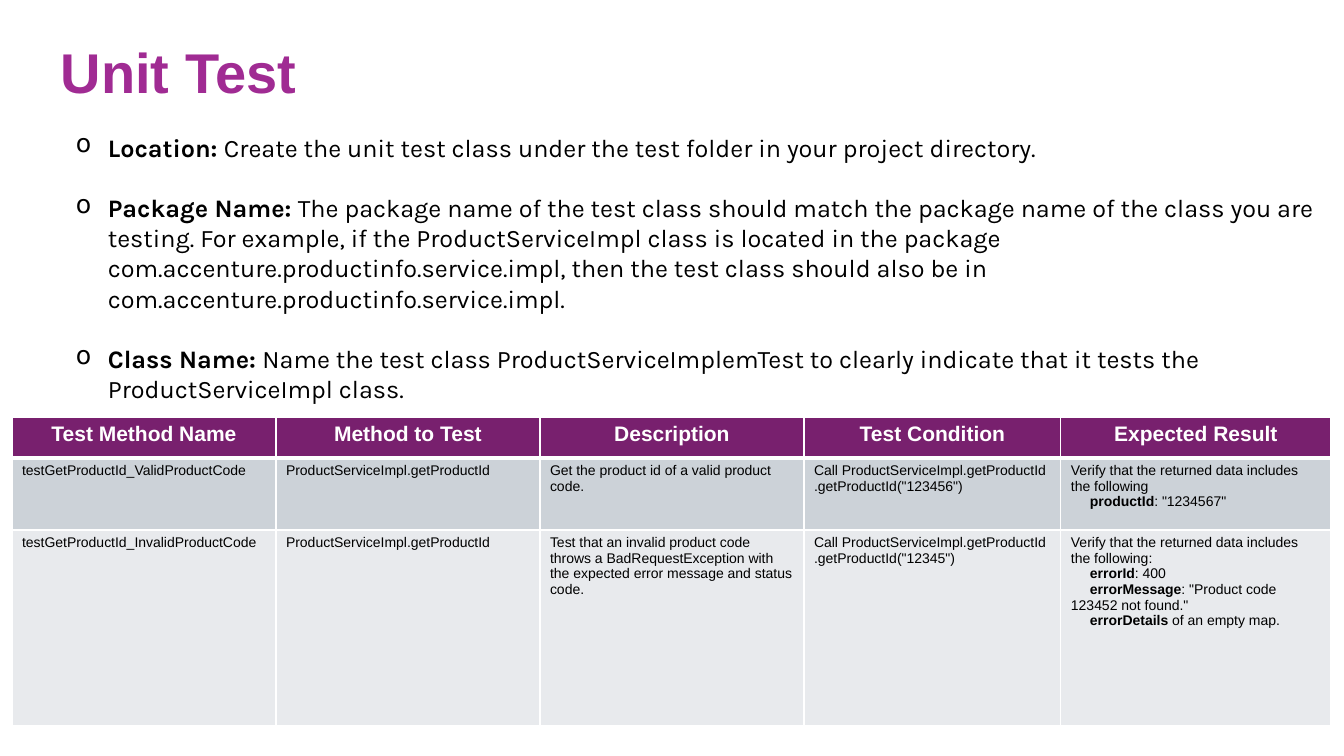
"""Build the Unit Test slide: title, naming rules and a table of test cases."""
from lxml import etree
from pptx import Presentation
from pptx import util as u
from pptx.dml.color import RGBColor
from pptx.enum import text
from pptx.oxml import ns

EMU_PER_PX = 914400 / 100.8

MAGENTA = RGBColor(0xA0, 0x2B, 0x93)
PURPLE = RGBColor(0x78, 0x20, 0x6E)
GREY = RGBColor(0xCC, 0xD2, 0xD8)
PALE = RGBColor(0xE8, 0xEA, 0xED)
WHITE = RGBColor(0xFF, 0xFF, 0xFF)
BLACK = RGBColor(0, 0, 0)

RULES = [
    ("Location: ", "Create the unit test class under the test folder in your project directory."),
    ("Package Name: ", "The package name of the test class should match the package name of the "
     "class you are testing. For example, if the ProductServiceImpl class is located in the package "
     "com.accenture.productinfo.service.impl, then the test class should also be in "
     "com.accenture.productinfo.service.impl."),
    ("Class Name: ", "Name the test class ProductServiceImplemTest to clearly indicate that it "
     "tests the ProductServiceImpl class."),
]
HEADINGS = ["Test Method Name", "Method to Test", "Description", "Test Condition", "Expected Result"]
METHOD = "ProductServiceImpl.getProductId"
CASES = [
    ["testGetProductId_ValidProductCode", METHOD, "Get the product id of a valid product code.",
     ["Call " + METHOD, '.getProductId("123456")'],
     ["Verify that the returned data includes the following", ("productId", ': "1234567"')]],
    ["testGetProductId_InvalidProductCode", METHOD,
     "Test that an invalid product code throws a BadRequestException with the expected error "
     "message and status code.",
     ["Call " + METHOD, '.getProductId("12345")'],
     ["Verify that the returned data includes the following:", ("errorId", ": 400"),
      ("errorMessage", ': "Product code 123452 not found."'),
      ("errorDetails ", "of an empty map.")]],
]
COLUMN_WIDTHS = [264, 264, 264, 257, 270]
ROW_HEIGHTS = [41, 72, 196]
ROW_FILLS = [PURPLE, GREY, PALE]


def px(length):
    """Turn pixels into EMU."""
    return u.Emu(round(length * EMU_PER_PX))


def add_span(para, words, size, color, font="Arial", bold=False):
    """Add one run with its font."""
    span = para.add_run()
    span.text = words
    span.font.name = font
    span.font.size = u.Pt(size)
    span.font.bold = bold
    span.font.color.rgb = color


def add_box(page, left, top, width, height):
    """Add a wrapping text box and return its text frame."""
    frame = page.shapes.add_textbox(px(left), px(top), px(width), px(height)).text_frame
    frame.word_wrap = True
    return frame


def next_para(frame, index):
    """Return the first paragraph or append another."""
    return frame.add_paragraph() if index else frame.paragraphs[0]


def set_indent(para, margin, first):
    """Set the left margin and the first-line indent."""
    properties = para._p.get_or_add_pPr()
    properties.set("marL", str(px(margin)))
    properties.set("indent", str(px(first)))
    return properties


def add_title(page):
    """Add the slide title."""
    frame = add_box(page, 51, 36, 1177, 75)
    frame.vertical_anchor = text.MSO_ANCHOR.BOTTOM
    para = frame.paragraphs[0]
    para.line_spacing = 0.9
    add_span(para, "Unit Test", 40, MAGENTA, bold=True)


def add_rules(page):
    """Add the bulleted naming rules."""
    frame = add_box(page, 66, 127, 1265, 285)
    for index, (label, rule) in enumerate(RULES):
        para = next_para(frame, index)
        properties = set_indent(para, 32, -32)
        etree.SubElement(properties, ns.qn("a:buChar")).set("char", "o")
        if index:
            para.space_before = u.Pt(21.5)
        add_span(para, label, 18, BLACK, "Karla", True)
        add_span(para, rule, 18, BLACK, "Karla")


def set_borders(cell, **widths):
    """Draw white borders, with widths in points keyed by side."""
    properties = cell._tc.get_or_add_tcPr()
    for side in "LRTB":
        line = etree.SubElement(properties, ns.qn("a:ln" + side))
        line.set("w", str(u.Pt(widths.get(side, 1))))
        fill = etree.SubElement(line, ns.qn("a:solidFill"))
        etree.SubElement(fill, ns.qn("a:srgbClr")).set("val", str(WHITE))


def fill_cell(cell, content, heading):
    """Write the lines of a cell; a pair is an indented field and its value."""
    lines = content if isinstance(content, list) else [content]
    for index, line in enumerate(lines):
        para = next_para(cell.text_frame, index)
        if heading:
            para.alignment = text.PP_ALIGN.CENTER
            add_span(para, line, 15, WHITE, bold=True)
        elif isinstance(line, tuple):
            set_indent(para, 0, 19)
            add_span(para, line[0], 10, BLACK, bold=True)
            add_span(para, line[1], 10, BLACK)
        else:
            add_span(para, line, 10, BLACK)


def add_cases(page):
    """Add the table of test cases."""
    rows = [HEADINGS] + CASES
    table = page.shapes.add_table(len(rows), len(HEADINGS), px(12), px(417),
                                  px(sum(COLUMN_WIDTHS)), px(sum(ROW_HEIGHTS))).table
    table.horz_banding = False
    for column, width in zip(table.columns, COLUMN_WIDTHS):
        column.width = px(width)
    for row_index, row in enumerate(rows):
        table.rows[row_index].height = px(ROW_HEIGHTS[row_index])
        for column_index, content in enumerate(row):
            cell = table.cell(row_index, column_index)
            set_borders(cell, T=3 if row_index == 1 else 1, B=3 if row_index == 0 else 1)
            cell.fill.solid()
            cell.fill.fore_color.rgb = ROW_FILLS[row_index]
            fill_cell(cell, content, row_index == 0)


def main():
    """Build and save the deck."""
    deck = Presentation()
    deck.slide_width, deck.slide_height = px(1344), px(756)
    page = deck.slides.add_slide(deck.slide_layouts[6])
    add_title(page)
    add_cases(page)
    add_rules(page)
    deck.save("out.pptx")


if __name__ == "__main__":
    main()
